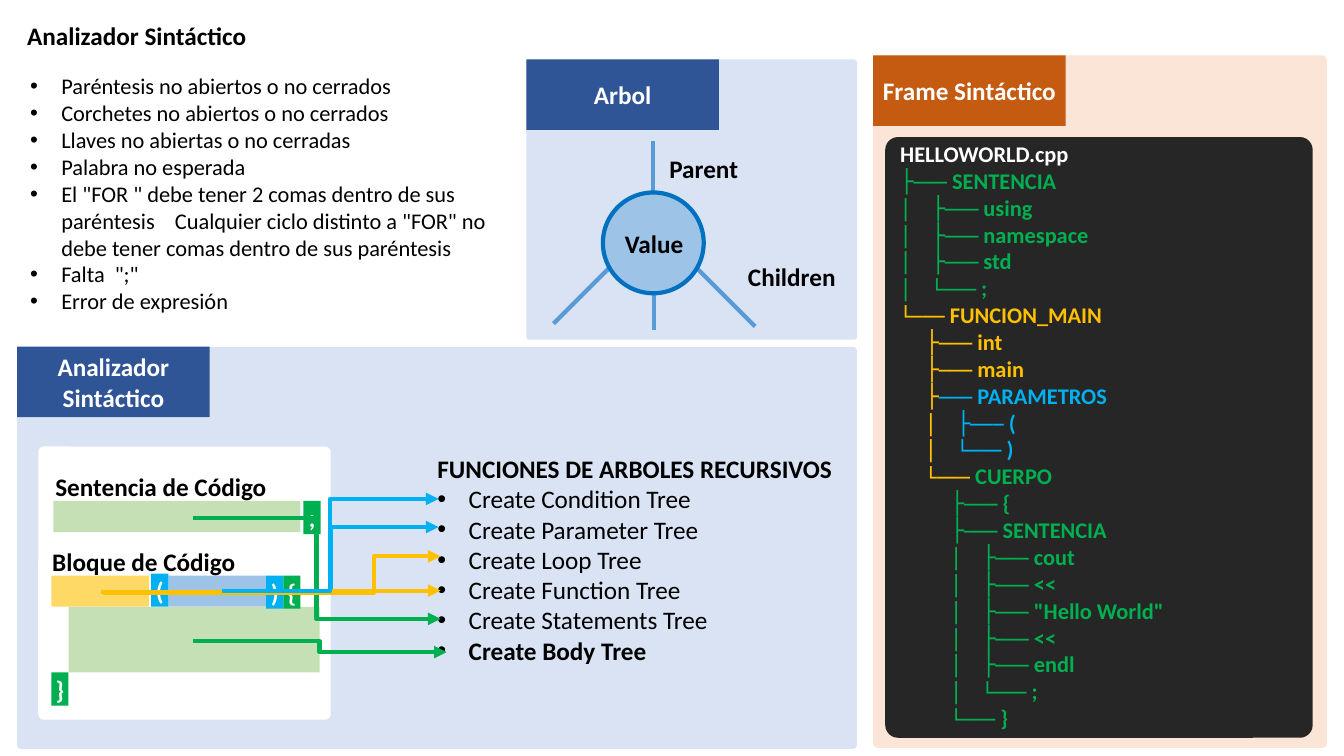
from dataclasses import dataclass

from lxml import etree
from pptx import Presentation
from pptx.dml.color import RGBColor
from pptx.enum.shapes import MSO_CONNECTOR, MSO_SHAPE
from pptx.enum.text import MSO_ANCHOR, PP_ALIGN
from pptx.oxml.ns import qn
from pptx.util import Pt

RECT, ROUND, OVAL = MSO_SHAPE.RECTANGLE, MSO_SHAPE.ROUNDED_RECTANGLE, MSO_SHAPE.OVAL
LINE, ELBOW = MSO_CONNECTOR.STRAIGHT, MSO_CONNECTOR.ELBOW
LEFT, CENTER = PP_ALIGN.LEFT, PP_ALIGN.CENTER
TOP, MIDDLE = MSO_ANCHOR.TOP, MSO_ANCHOR.MIDDLE
PX = 9144


@dataclass(frozen=True)
class Theme:
    font: str = "Calibri"
    big: int = 18
    small: int = 16
    stroke: int = 3
    black: str = "000000"
    white: str = "FFFFFF"
    dark: str = "262626"
    navy: str = "2F5597"
    pale: str = "DAE3F3"
    rust: str = "C55A11"
    peach: str = "FBE5D6"
    branch: str = "5B9BD5"
    ring: str = "0070C0"
    sky: str = "9DC3E6"
    leaf: str = "C5E0B4"
    sand: str = "FFD966"
    green: str = "00B050"
    blue: str = "00B0F0"
    gold: str = "FFC000"


T = Theme()


class Board:
    def __init__(self, deck, theme):
        self.theme = theme
        self.slide = deck.slides.add_slide(deck.slide_layouts[5])
        self.shapes = self.slide.shapes

    def style(self, item, size, color, bold):
        item.font.name = self.theme.font
        item.font.size = Pt(size)
        item.font.bold = bold
        item.font.color.rgb = RGBColor.from_string(color)

    def put(self, frame, rows, size, color, align=LEFT, wrap=False, anchor=TOP):
        frame.word_wrap = wrap
        frame.vertical_anchor = anchor
        for i, (text, bold, dot) in enumerate(rows):
            para = frame.paragraphs[0] if i == 0 else frame.add_paragraph()
            para.alignment = align
            if dot:
                self.dot(para)
            self.style(para, size, color, bold)
            parts = [(color, text)] if isinstance(text, str) else text
            for tint, part in parts:
                run = para.add_run()
                run.text = part
                if tint != color:
                    run.font.color.rgb = RGBColor.from_string(tint)

    def dot(self, para):
        props = para._p.get_or_add_pPr()
        props.set("marL", str(31 * PX))
        props.set("indent", str(-31 * PX))
        etree.SubElement(props, qn("a:buFont")).set("typeface", "Arial")
        etree.SubElement(props, qn("a:buChar")).set("char", "•")

    def title(self, box, text):
        head = self.shapes.title
        head.left, head.top, head.width, head.height = (n * PX for n in box)
        self.put(head.text_frame, [(text, True, False)], self.theme.big, self.theme.black)

    def text(self, box, rows, size, wrap=False):
        area = self.shapes.add_textbox(*(n * PX for n in box))
        self.put(area.text_frame, rows, size, self.theme.black, wrap=wrap)

    def label(self, box, text):
        self.text(box, [(text, True, False)], self.theme.big)

    def shape(self, kind, box, fill, lines=(), edge=None, curve=None):
        item = self.shapes.add_shape(kind, *(n * PX for n in box))
        item.shadow.inherit = False
        item.fill.solid()
        item.fill.fore_color.rgb = RGBColor.from_string(fill)
        if curve is not None:
            item.adjustments[0] = curve
        if edge:
            item.line.color.rgb = RGBColor.from_string(edge)
            item.line.width = Pt(self.theme.stroke)
        else:
            item.line.fill.background()
        if lines:
            rows = [(line, True, False) for line in lines]
            self.put(item.text_frame, rows, self.theme.big, self.theme.white,
                     align=CENTER, anchor=MIDDLE)

    def panel(self, box, fill, tab, lines):
        self.shape(ROUND, box, fill, curve=0.01)
        self.shape(RECT, (box[0], box[1], 191, 70), tab, lines)

    def line(self, ends, color, kind=LINE, bend=None):
        item = self.shapes.add_connector(kind, *(n * PX for n in ends))
        item.line.color.rgb = RGBColor.from_string(color)
        item.line.width = Pt(self.theme.stroke)
        props = item._element.spPr
        if kind == ELBOW:
            tip = etree.SubElement(props.find(qn("a:ln")), qn("a:tailEnd"))
            tip.set("type", "triangle")
        if bend:
            guide = etree.SubElement(props.find(qn("a:prstGeom")).find(qn("a:avLst")), qn("a:gd"))
            guide.set("name", "adj1")
            guide.set("fmla", f"val {bend}")
        etree.SubElement(props, qn("a:effectLst"))


ERRORS = [
    "Paréntesis no abiertos o no cerrados",
    "Corchetes no abiertos o no cerrados",
    "Llaves no abiertas o no cerradas",
    "Palabra no esperada",
    'El "FOR " debe tener 2 comas dentro de sus paréntesis    '
    'Cualquier ciclo distinto a "FOR" no debe tener comas dentro de sus paréntesis',
    'Falta  ";"',
    "Error de expresión",
]
TREES = ["Condition", "Parameter", "Loop", "Function", "Statements", "Body"]
FRAME = [
    [(T.white, "HELLOWORLD.cpp")],
    [(T.green, "├─── SENTENCIA")],
    [(T.green, "│    ├─── using")],
    [(T.green, "│    ├─── namespace")],
    [(T.green, "│    ├─── std")],
    [(T.green, "│    └─── ;")],
    [(T.gold, "└─── FUNCION_MAIN")],
    [(T.gold, "     ├─── int")],
    [(T.gold, "     ├─── main")],
    [(T.gold, "     ├"), (T.blue, "─── PARAMETROS")],
    [(T.gold, "     │"), (T.blue, "    ├─── (")],
    [(T.gold, "     │"), (T.blue, "    └─── )")],
    [(T.gold, "     └─── "), (T.green, "CUERPO")],
    [(T.green, "          ├─── {")],
    [(T.green, "          ├─── SENTENCIA")],
    [(T.green, "          │    ├─── cout")],
    [(T.green, "          │    ├─── <<")],
    [(T.green, '          │    ├─── "Hello World"')],
    [(T.green, "          │    ├─── <<")],
    [(T.green, "          │    ├─── endl")],
    [(T.green, "          │    └─── ;")],
    [(T.green, "          └─── }")],
]


def node(board):
    board.panel((522, 59, 328, 278), T.pale, T.navy, ["Arbol"])
    for ends in ((649, 224, 749, 324), (549, 321, 649, 221),
                 (648, 246, 648, 140), (649, 327, 649, 221)):
        board.line(ends, T.branch)
    board.shape(OVAL, (598, 191, 100, 100), T.sky, edge=T.ring)
    board.label((654, 147, 89, 40), "Parent")
    board.label((732, 254, 108, 40), "Children")
    board.label((610, 222, 78, 40), "Value")


def parser(board):
    board.panel((17, 344, 833, 399), T.pale, T.navy, ["Analizador", "Sintáctico"])
    board.shape(ROUND, (38, 443, 290, 271), T.white, curve=0.02)
    for box, fill in (((53, 497, 245, 31), T.leaf), ((51, 571, 97, 31), T.sand),
                      ((167, 571, 97, 31), T.sky), ((68, 602, 249, 65), T.leaf)):
        board.shape(RECT, box, fill)
    for x, y, mark, fill in ((301, 497, ";", T.green), (150, 569, "(", T.blue),
                             (264, 571, ")", T.blue), (281, 571, "{", T.green),
                             (51, 667, "}", T.green)):
        board.shape(RECT, (x, y, 17, 33), fill, [mark])
    board.label((45, 463, 231, 40), "Sentencia de Código")
    board.label((42, 537, 203, 40), "Bloque de Código")
    rows = [("FUNCIONES DE ARBOLES RECURSIVOS", True, False)]
    rows += [(f"Create {name} Tree", name == "Body", True) for name in TREES]
    board.text((424, 445, 415, 222), rows, T.big)
    for ends, color, bend in (((221, 587, 435, 523), T.blue, None),
                              ((191, 636, 443, 647), T.green, None),
                              ((100, 587, 437, 586), T.gold, None),
                              ((191, 514, 437, 614), T.green, None),
                              ((102, 588, 437, 552), T.gold, 80200),
                              ((220, 586, 435, 495), T.blue, None)):
        board.line(ends, color, ELBOW, bend)


def frame(board):
    board.panel((866, 55, 450, 687), T.peach, T.rust, ["Frame Sintáctico"])
    board.shape(ROUND, (878, 136, 424, 596), T.dark, curve=0.03)
    board.text((883, 134, 420, 602), [(row, True, False) for row in FRAME], T.small, wrap=True)


def main():
    deck = Presentation()
    deck.slide_width, deck.slide_height = 1333 * PX, 750 * PX
    board = Board(deck, T)
    board.title((17, 15, 239, 40), "Analizador Sintáctico")
    node(board)
    parser(board)
    frame(board)
    board.text((20, 67, 482, 259), [(row, False, True) for row in ERRORS], T.small, wrap=True)
    deck.save("out.pptx")


if __name__ == "__main__":
    main()
